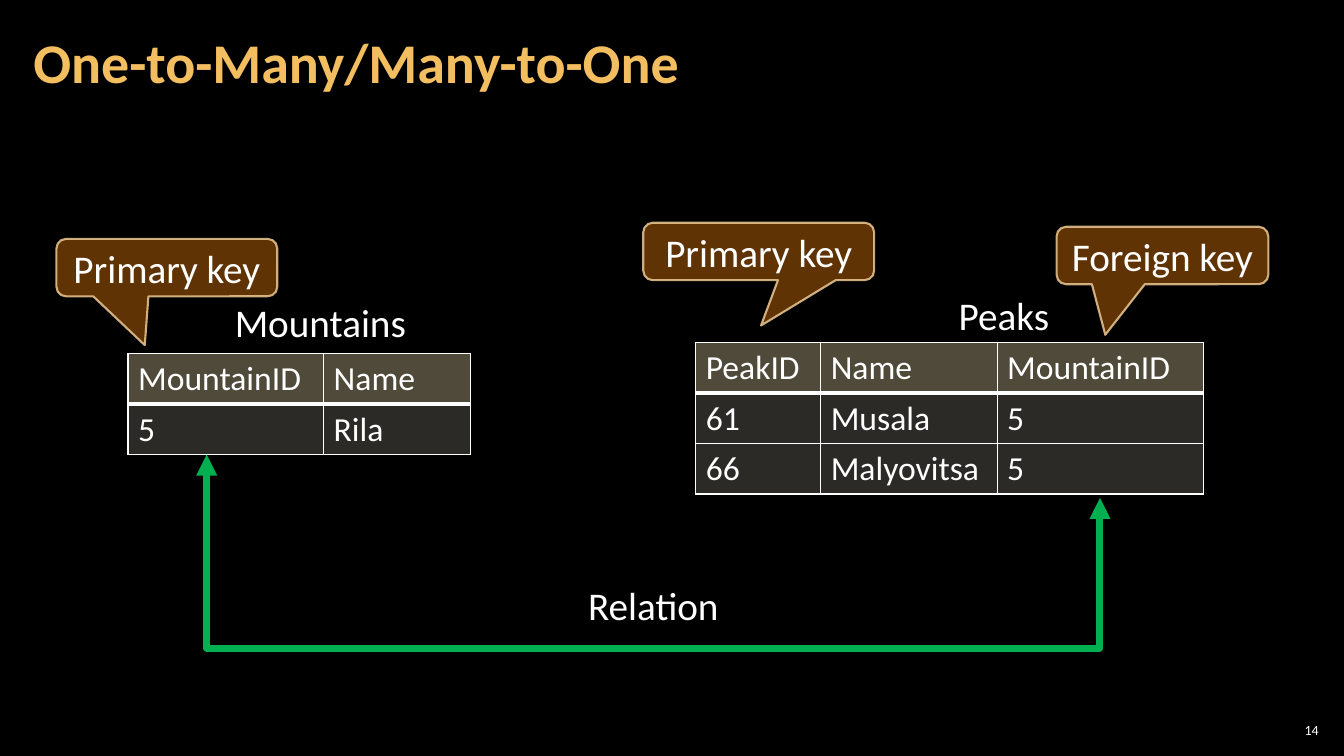
from lxml import etree
from pptx import Presentation
from pptx.dml.color import RGBColor
from pptx.enum.shapes import MSO_CONNECTOR, MSO_SHAPE
from pptx.enum.text import MSO_ANCHOR, MSO_AUTO_SIZE, PP_ALIGN
from pptx.oxml.ns import qn
from pptx.util import Pt

PX = 9144
FONT = "Calibri"
LEFT, CENTER, RIGHT = PP_ALIGN.LEFT, PP_ALIGN.CENTER, PP_ALIGN.RIGHT
MIDDLE = MSO_ANCHOR.MIDDLE
FIT_SHAPE, NO_FIT = MSO_AUTO_SIZE.SHAPE_TO_FIT_TEXT, MSO_AUTO_SIZE.NONE
CALLOUT = MSO_SHAPE.ROUNDED_RECTANGULAR_CALLOUT
ELBOW = MSO_CONNECTOR.ELBOW
COLORS = {
    "background": "000000",
    "text": "FFFFFF",
    "title": "F3BE60",
    "header": "A19574",
    "body": "D9D5C7",
    "callout": "663606",
    "callout_line": "F8D49E",
    "relation": "00B050",
}


def px(*lengths):
    return [length * PX for length in lengths]


def paint(fill, color, opacity=100):
    fill.solid()
    fill.fore_color.rgb = RGBColor.from_string(COLORS[color])
    if opacity < 100:
        color_element = fill._xPr.find(qn("a:solidFill"))[0]
        etree.SubElement(color_element, qn("a:alpha"), val=str(opacity * 1000))


def write(text_frame, text, size, color="text", align=LEFT, bold=False):
    text_frame.text = text
    paragraph = text_frame.paragraphs[0]
    paragraph.alignment = align
    paragraph.font.name = FONT
    paragraph.font.size = Pt(size)
    paragraph.font.bold = bold
    paragraph.font.color.rgb = RGBColor.from_string(COLORS[color])
    return paragraph


def set_margins(text_frame, horizontal, vertical):
    text_frame.margin_left = text_frame.margin_right = horizontal * PX
    text_frame.margin_top = text_frame.margin_bottom = vertical * PX


def add_title(slide, box, text):
    title = slide.shapes.title
    title.left, title.top, title.width, title.height = px(*box)
    text_frame = title.text_frame
    text_frame.auto_size = NO_FIT
    text_frame.vertical_anchor = MIDDLE
    set_margins(text_frame, 12, 4)
    write(text_frame, text, 40, "title", bold=True).line_spacing = 0.9


def add_page_number(slide, box, number):
    text_frame = slide.shapes.add_textbox(*px(*box)).text_frame
    text_frame.word_wrap = True
    text_frame.vertical_anchor = MIDDLE
    set_margins(text_frame, 4, 4)
    write(text_frame, number, 10, align=RIGHT)


def add_label(slide, box, text, align=LEFT, wrap=False):
    text_frame = slide.shapes.add_textbox(*px(*box)).text_frame
    text_frame.word_wrap = wrap
    text_frame.auto_size = FIT_SHAPE
    write(text_frame, text, 28, align=align)


def set_borders(cell, bottom_width):
    properties = cell._tc.get_or_add_tcPr()
    for index, side in enumerate("LRTB"):
        width = bottom_width if side == "B" else 1
        line = etree.Element(qn(f"a:ln{side}"), w=str(Pt(width)))
        fill = etree.SubElement(line, qn("a:solidFill"))
        etree.SubElement(fill, qn("a:srgbClr"), val=COLORS["text"])
        properties.insert(index, line)


def add_data_table(slide, left, top, column_widths, rows, row_height=50):
    box = px(left, top, sum(column_widths), row_height * len(rows))
    table = slide.shapes.add_table(len(rows), len(column_widths), *box).table
    table.first_row = table.horz_banding = False
    for column, width in zip(table.columns, column_widths):
        column.width = width * PX
    for row_index, values in enumerate(rows):
        is_header = row_index == 0
        table.rows[row_index].height = row_height * PX
        for column_index, value in enumerate(values):
            cell = table.cell(row_index, column_index)
            write(cell.text_frame, value, 24)
            if is_header:
                paint(cell.fill, "header", 50)
            else:
                paint(cell.fill, "body", 20)
            set_borders(cell, 3 if is_header else 1)


def add_key_callout(slide, box, text, tip):
    callout = slide.shapes.add_shape(CALLOUT, *px(*box))
    callout.shadow.inherit = False
    callout.adjustments[0], callout.adjustments[1] = tip
    paint(callout.fill, "callout", 95)
    callout.line.width = Pt(1.5)
    paint(callout.line.fill, "callout_line", 80)
    callout.text_frame.word_wrap = True
    callout.text_frame.vertical_anchor = MIDDLE
    write(callout.text_frame, text, 28, align=CENTER)


def add_relation(slide, start, end, bottom):
    (start_x, start_y), (end_x, end_y) = start, end
    span, rise = end_x - start_x, end_y - start_y
    center_x, center_y = (start_x + end_x) / 2, (start_y + end_y) / 2
    corners = (center_x + rise / 2, center_y - span / 2,
               center_x - rise / 2, center_y + span / 2)
    connector = slide.shapes.add_connector(
        ELBOW, *(round(length) for length in px(*corners)))
    properties = connector._element.spPr
    properties.find(qn("a:xfrm")).set("rot", str(270 * 60000))
    geometry = properties.find(qn("a:prstGeom"))
    guides = geometry.find(qn("a:avLst"))
    if guides is None:
        guides = etree.SubElement(geometry, qn("a:avLst"))
    bend = round((bottom - start_y) / rise * 100000)
    etree.SubElement(guides, qn("a:gd"), name="adj1", fmla=f"val {bend}")
    connector.line.width = Pt(5)
    paint(connector.line.fill, "relation")
    line = properties.find(qn("a:ln"))
    for arrow_end in ("a:headEnd", "a:tailEnd"):
        etree.SubElement(line, qn(arrow_end), type="triangle")
    etree.SubElement(properties, qn("a:effectLst"))


def build_relation_slide(presentation):
    slide = presentation.slides.add_slide(presentation.slide_layouts[5])
    paint(slide.background.fill, "background")
    add_page_number(slide, (1265, 714, 47, 21), "14")
    add_title(slide, (21, 4, 1047, 121), "One-to-Many/Many-to-One")
    add_data_table(slide, 127, 351, (194, 146),
                   [("MountainID", "Name"), ("5", "Rila")])
    add_label(slide, (223, 291, 192, 57), "Mountains")
    add_data_table(slide, 690, 340, (124, 175, 205),
                   [("PeakID", "Name", "MountainID"),
                    ("61", "Musala", "5"),
                    ("66", "Malyovitsa", "5")])
    add_label(slide, (941, 284, 111, 57), "Peaks")
    add_key_callout(slide, (56, 237, 219, 57), "Primary key", (-0.1, 1.35))
    add_key_callout(slide, (638, 221, 229, 57), "Primary key", (0.01, 1.29))
    add_key_callout(slide, (1048, 225, 210, 57), "Foreign key", (-0.27, 1.38))
    add_relation(slide, (205, 451), (1091, 494), 643)
    add_label(slide, (540, 572, 216, 57), "Relation", CENTER, wrap=True)


def main():
    presentation = Presentation()
    presentation.slide_width, presentation.slide_height = px(1333, 750)
    build_relation_slide(presentation)
    presentation.save("out.pptx")


if __name__ == "__main__":
    main()
